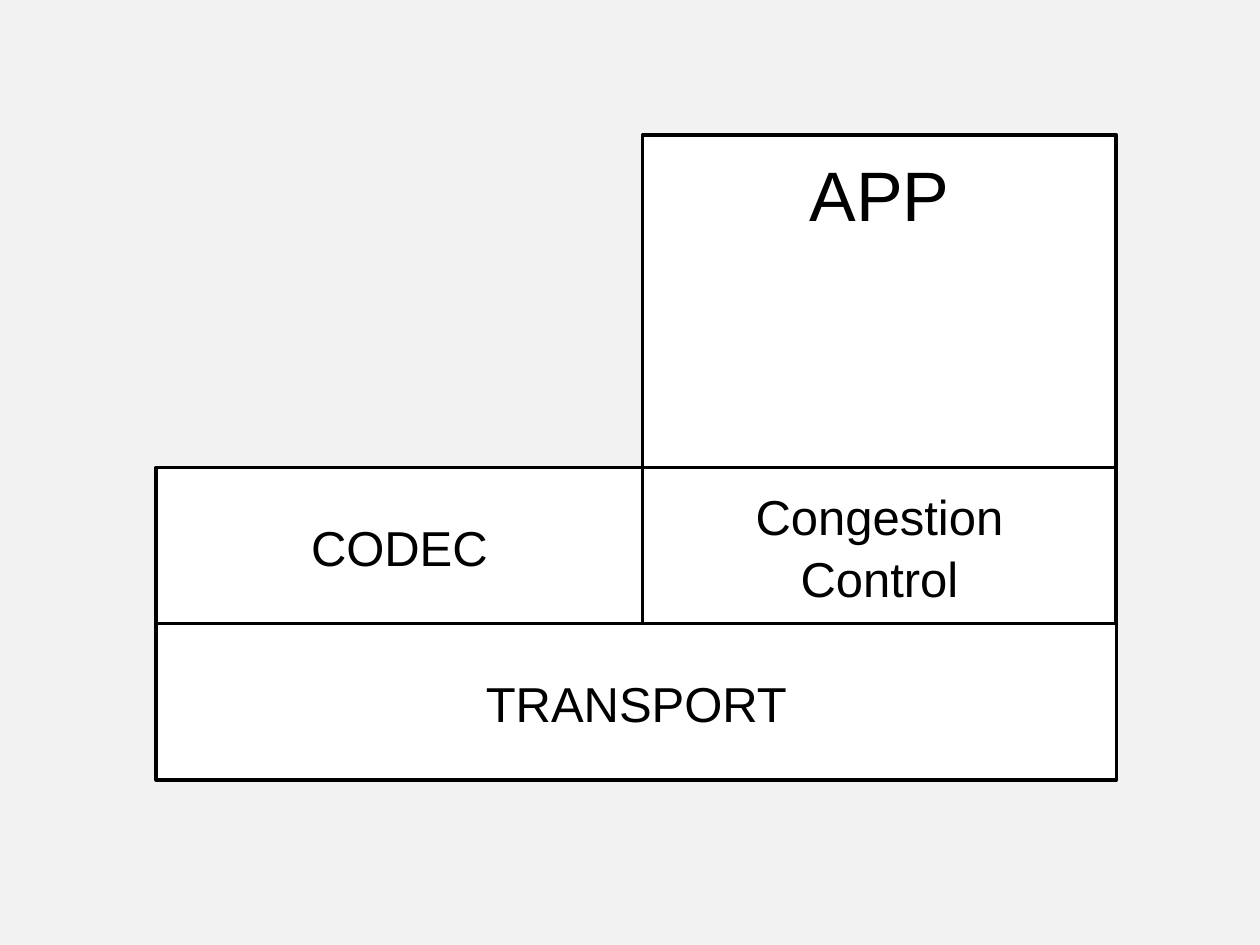
from pptx import Presentation
from pptx.dml.color import RGBColor
from pptx.enum import shapes, text
from pptx.util import Inches, Pt


def paint(fill, color):
    fill.solid()
    fill.fore_color.rgb = RGBColor.from_string(color)


def block(slide, box, lines, size=28, anchor=text.MSO_ANCHOR.MIDDLE):
    rect = slide.shapes.add_shape(
        shapes.MSO_SHAPE.RECTANGLE, *(Inches(n) for n in box))
    rect.shadow.inherit = False
    paint(rect.fill, "FFFFFF")
    paint(rect.line.fill, "000000")
    rect.line.width = Pt(2)
    frame = rect.text_frame
    frame.word_wrap = True
    frame.vertical_anchor = anchor
    frame.margin_left = frame.margin_right = Inches(0.1)
    frame.margin_top = frame.margin_bottom = Inches(0.1)
    frame.text = "\n".join(lines)
    for para in frame.paragraphs:
        para.alignment = text.PP_ALIGN.CENTER
        para.line_spacing = 1.05
        para.font.name = "Arial"
        para.font.size = Pt(size)
        paint(para.font.fill, "000000")


def stack(slide, left, top, width, height):
    row = 1.24
    split = 3.86
    right = left + split
    side = width - split
    base = top + height - row
    middle = base - row
    block(slide, (right, top, side, base - top), ["APP"], 40,
          text.MSO_ANCHOR.TOP)
    block(slide, (left, middle, split, row), ["CODEC"])
    block(slide, (left, base, width, row), ["TRANSPORT"])
    block(slide, (right, middle, side, row), ["Congestion", "Control"])


deck = Presentation()
deck.slide_width = Inches(10)
deck.slide_height = Inches(7.5)
slide = deck.slides.add_slide(deck.slide_layouts[6])
paint(slide.background.fill, "F2F2F2")
stack(slide, 1.24, 1.07, 7.62, 5.12)
deck.save("out.pptx")
